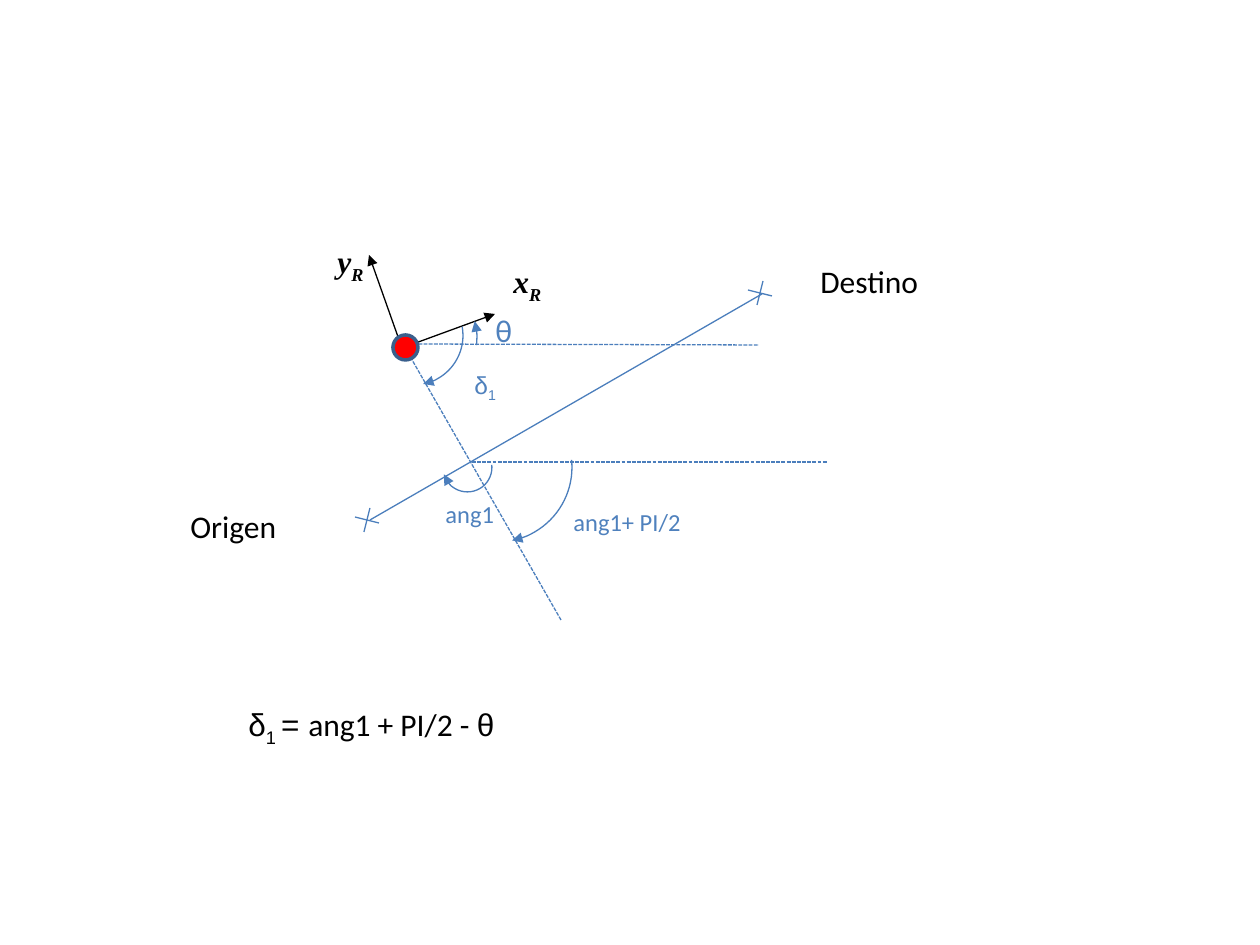
from lxml.etree import SubElement
from pptx import Presentation
from pptx.dml.color import RGBColor
from pptx.enum.dml import MSO_LINE
from pptx.enum.shapes import MSO_CONNECTOR, MSO_SHAPE
from pptx.enum.text import MSO_AUTO_SIZE
from pptx.oxml.ns import qn
from pptx.util import Pt

PX = 914400 / 126
BLUE, LABEL_BLUE, BLACK = "4B7EBC", "4F81BD", "000000"
SUBSCRIPT = "-25000"


def emu(*lengths):
    return [round(length * PX) for length in lengths]


def color(value):
    return RGBColor.from_string(value)


class Diagram:
    def __init__(self, slide):
        self.slide = slide
        self.line_width = 0.75

    def group(self):
        return self.slide.shapes.add_group_shape()

    def stroke(self, line, stroke_color, arrow=None, dashed=False):
        line.color.rgb = color(stroke_color)
        line.width = Pt(self.line_width)
        if dashed:
            line.dash_style = MSO_LINE.SQUARE_DOT
        if arrow:
            SubElement(line._get_or_add_ln(), qn(f"a:{arrow}"), type="triangle")

    def line(self, start, end, stroke_color=BLUE, arrow=None, dashed=False, group=None):
        owner = group or self.slide
        segment = owner.shapes.add_connector(MSO_CONNECTOR.STRAIGHT, *emu(*start, *end))
        self.stroke(segment.line, stroke_color, arrow, dashed)
        SubElement(segment._element.spPr, qn("a:effectLst"))

    def cross(self, x, y, group):
        self.line((x + 3, y - 12), (x - 3, y + 12), group=group)
        self.line((x - 12, y - 3), (x + 12, y + 3), group=group)

    def arc(self, left, top, size, start, end, arrow="tailEnd"):
        angle = self.slide.shapes.add_shape(MSO_SHAPE.ARC, *emu(left, top, size, size))
        angle.shadow.inherit = False
        angle.fill.background()
        for index, degrees in enumerate((start, end)):
            angle.adjustments[index] = degrees * 0.6
        self.stroke(angle.line, BLUE, arrow)

    def dot(self, left, top, size):
        robot = self.slide.shapes.add_shape(MSO_SHAPE.OVAL, *emu(left, top, size, size))
        robot.shadow.inherit = False
        robot.fill.solid()
        robot.fill.fore_color.rgb = color("FF0000")
        robot.line.color.rgb = color("3A5F8C")
        robot.line.width = Pt(2)

    def text(self, left, top, width, height, parts, size=18, text_color=BLACK, bold_italic=False):
        frame = self.slide.shapes.add_textbox(*emu(left, top, width, height)).text_frame
        frame.word_wrap = True
        frame.auto_size = MSO_AUTO_SIZE.SHAPE_TO_FIT_TEXT
        for wording, font_name, baseline in parts:
            run = frame.paragraphs[0].add_run()
            run.text = wording
            run.font.name = font_name
            run.font.size = Pt(size)
            run.font.color.rgb = color(text_color)
            if bold_italic:
                run.font.bold = run.font.italic = True
            if baseline:
                run.font._element.set("baseline", baseline)

    def label(self, left, top, width, wording, size=18, text_color=BLACK):
        height = 50 if size == 18 else 43
        self.text(left, top, width, height, [(wording, "Calibri", None)], size, text_color)

    def axis_label(self, left, top, axis):
        parts = [(axis, "Times New Roman", None), ("R", "Times New Roman", SUBSCRIPT)]
        self.text(left, top, 69, 50, parts, bold_italic=True)


def main():
    presentation = Presentation()
    presentation.slide_width, presentation.slide_height = emu(1260, 945)
    diagram = Diagram(presentation.slides.add_slide(presentation.slide_layouts[6]))

    diagram.line((403, 344), (759, 345), dashed=True)
    diagram.line((561, 620), (403, 344), dashed=True)

    robot_axes = diagram.group()
    diagram.line((402, 348), (495, 314), BLACK, "tailEnd", group=robot_axes)
    diagram.line((369, 255), (402, 348), BLACK, "headEnd", group=robot_axes)

    route = diagram.group()
    diagram.cross(760, 293, route)
    diagram.cross(367, 520, route)
    diagram.line((370, 520), (762, 294), group=route)

    diagram.dot(393, 335, 25)
    diagram.label(178, 501, 147, "Origen")
    diagram.label(808, 256, 147, "Destino")
    diagram.axis_label(325, 236, "y")
    diagram.axis_label(501, 256, "x")

    diagram.line((472, 462), (827, 462), dashed=True)
    diagram.arc(423, 393, 149, 354.25, 78.67)
    diagram.label(433, 493, 108, "ang1", 14, LABEL_BLUE)
    diagram.arc(443, 443, 49, 354.25, 163.47)
    diagram.label(561, 501, 256, "ang1+ PI/2", 14, LABEL_BLUE)
    diagram.arc(364, 286, 99, 349.73, 78.67)
    delta = [("δ", "Arial", None), ("1", "Arial", SUBSCRIPT)]
    diagram.text(462, 364, 108, 43, delta, 14, LABEL_BLUE)

    formula = [
        ("δ", "Arial", None),
        ("1 ", "Arial", SUBSCRIPT),
        ("= ", "Arial", None),
        ("ang1 + PI/2 - ", "Calibri", None),
        ("θ", "Arial", None),
    ]
    diagram.text(236, 699, 462, 50, formula)
    diagram.arc(354, 276, 123, 344.68, 7.16, "headEnd")
    diagram.label(483, 305, 98, "θ", text_color=LABEL_BLUE)

    presentation.save("out.pptx")


if __name__ == "__main__":
    main()
